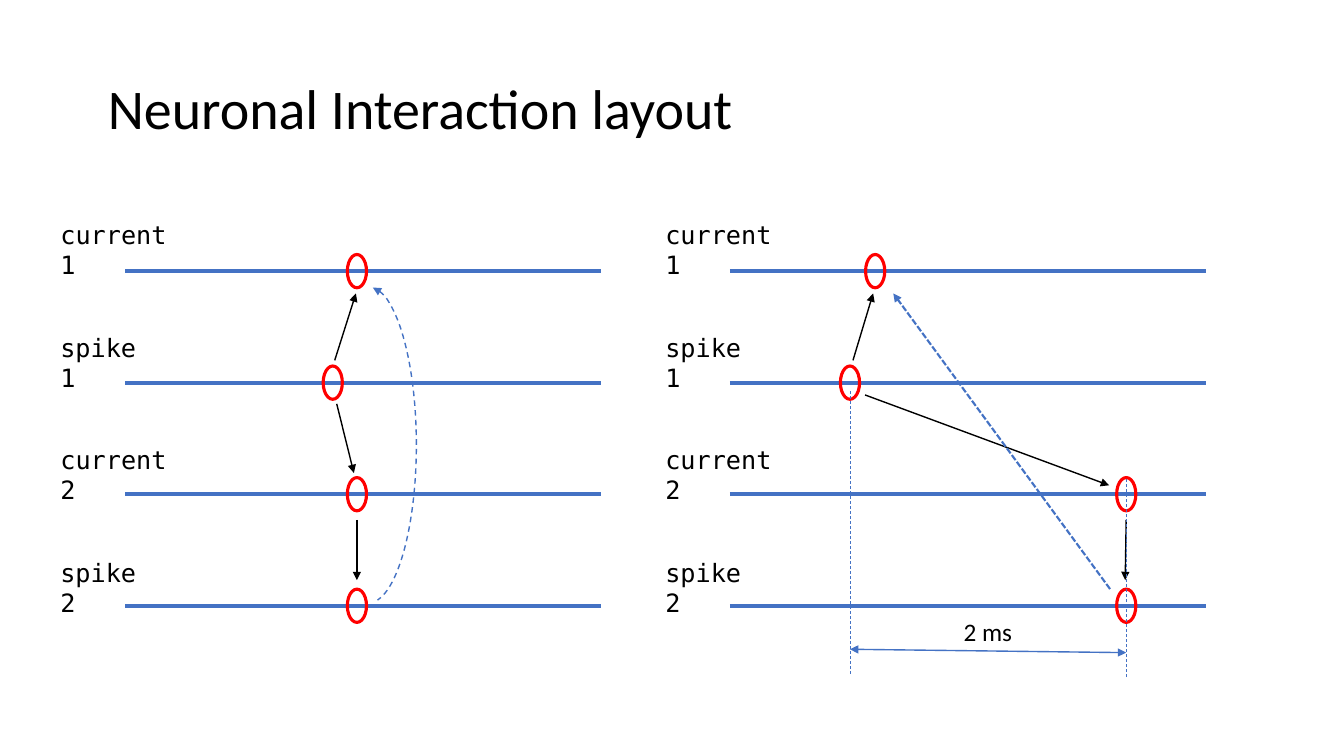
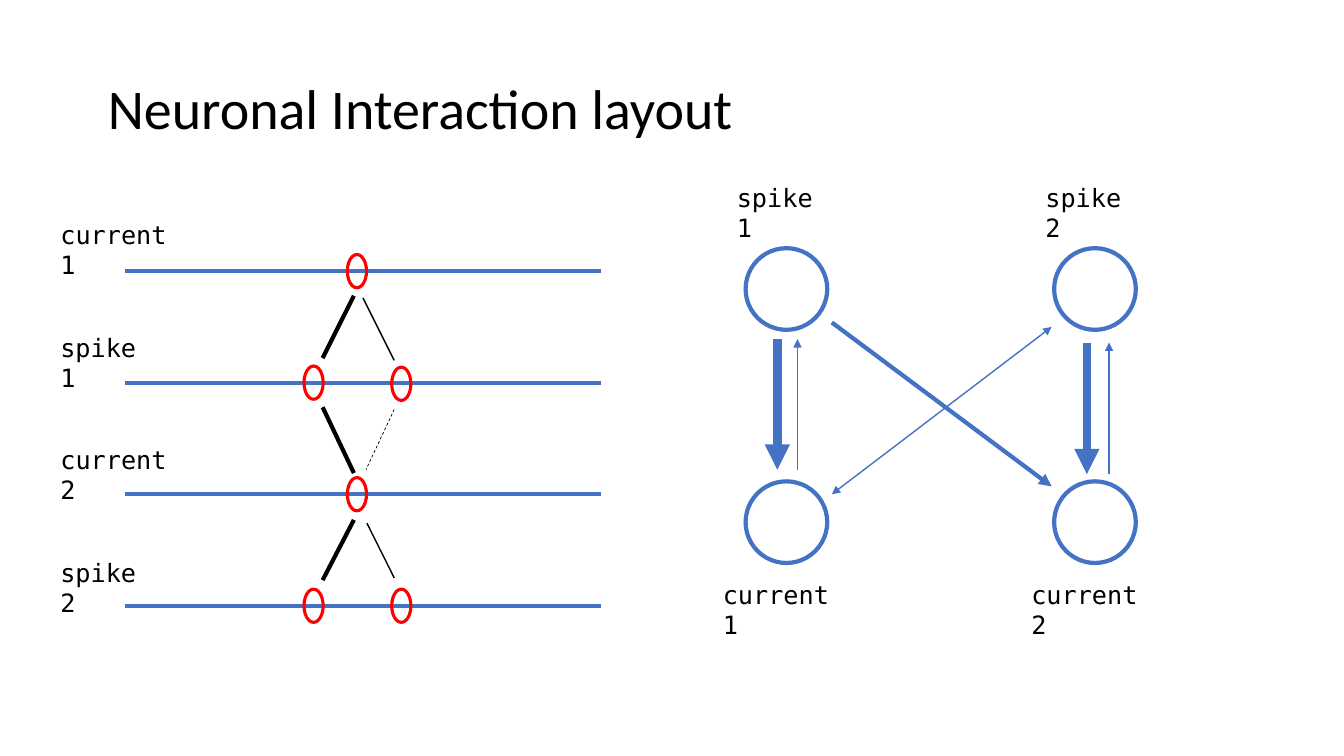
from lxml.etree import SubElement
from pptx import Presentation
from pptx.dml.color import RGBColor
from pptx.enum.dml import MSO_LINE
from pptx.enum.shapes import MSO_CONNECTOR, MSO_SHAPE
from pptx.enum.text import MSO_ANCHOR, PP_ALIGN
from pptx.oxml.ns import qn
from pptx.util import Inches, Pt

BLUE = RGBColor(0x44, 0x72, 0xC4)
RED = RGBColor(0xFF, 0x00, 0x00)
BLACK = RGBColor(0x00, 0x00, 0x00)
SANS, MONO = "Calibri", "DejaVu Sans Mono"

COLUMN = Inches(1)
FIRST_LANE = Inches(2.69)
ROW = (Inches(6.01) - FIRST_LANE) / 3
LANE_NAMES = ["current 1", "spike 1", "current 2", "spike 2"]
NAME_WIDTHS = {"current": 1.45, "spike": 1.17}

STYLES = {
    "lane": (BLUE, {"width": Pt(3)}, ""),
    "event": (RED, {"width": Pt(2.25)}, ""),
    "neuron": (BLUE, {"width": Pt(3)}, ""),
    "cause": (BLACK, {"width": Pt(1)}, "tail"),
    "strong": (BLACK, {"width": Pt(3)}, ""),
    "weak": (BLACK, {"width": Pt(1)}, ""),
    "faint": (BLACK, {"width": Pt(0.5), "dash_style": MSO_LINE.DASH}, ""),
    "feedback": (BLUE, {"width": Pt(1.5), "dash_style": MSO_LINE.SQUARE_DOT}, "tail"),
    "curved feedback": (BLUE, {"width": Pt(1), "dash_style": MSO_LINE.DASH}, "head"),
    "guide": (BLUE, {"width": Pt(0.5), "dash_style": MSO_LINE.DASH}, ""),
    "both ways": (BLUE, {"width": Pt(1)}, "head tail"),
    "thin arrow": (BLUE, {"width": Pt(1)}, "tail"),
    "medium arrow": (BLUE, {"width": Pt(3)}, "tail"),
    "thick arrow": (BLUE, {"width": Pt(6)}, "tail"),
}


def place(column, row):
    return round(column * COLUMN), round(FIRST_LANE + row * ROW)


def stroke(item, style):
    color, values, ends = STYLES[style]
    item.line.color.rgb = color
    for attribute, value in values.items():
        setattr(item.line, attribute, value)
    outline = item.element.spPr.find(qn("a:ln"))
    for end in ends.split():
        SubElement(outline, qn(f"a:{end}End"), type="triangle")


timing = {
    "panels": [0.5, 6.5],
    "events": [(3.54, 0), (3.3, 1), (3.54, 2), (3.54, 3),
               (8.68, 0), (8.43, 1), (11.17, 2), (11.17, 3)],
    "neurons": [],
    "names": [],
    "notes": [("2 ms", 9.46, 3.05, 0.74)],
    "arcs": [(3.17, 0.14, 0.96, 3.14)],
    "links": [
        ("cause", (3.32, 0.8), (3.53, 0.2)),
        ("cause", (3.34, 1.19), (3.51, 1.81)),
        ("cause", (3.54, 2.23), (3.54, 2.77)),
        ("cause", (8.46, 0.8), (8.66, 0.2)),
        ("cause", (8.58, 1.11), (11, 1.92)),
        ("cause", (11.17, 2.23), (11.16, 2.77)),
        ("feedback", (11.01, 2.85), (8.86, 0.2)),
        ("both ways", (8.43, 3.39), (11.17, 3.42)),
        ("guide", (8.43, 3.61), (8.43, 1.06)),
        ("guide", (11.17, 3.64), (11.17, 1.85)),
    ],
}
strength = {
    "panels": [0.5],
    "events": [(3.54, 0), (3.11, 1), (3.98, 1.01), (3.54, 2), (3.11, 3), (3.98, 3)],
    "neurons": [(column, row) for column in (7.8, 10.86) for row in (0.16, 2.25)],
    "names": [("spike 1", 7.21, -0.84), ("spike 2", 10.27, -0.84),
              ("current 1", 7.07, 2.72), ("current 2", 10.13, 2.72)],
    "notes": [],
    "arcs": [],
    "links": [
        ("strong", (3.2, 0.78), (3.51, 0.22)),
        ("strong", (3.2, 1.22), (3.51, 1.81)),
        ("strong", (3.51, 2.23), (3.2, 2.77)),
        ("weak", (3.64, 2.26), (3.91, 2.75)),
        ("faint", (3.91, 1.24), (3.63, 1.78)),
        ("weak", (3.6, 0.24), (3.91, 0.8)),
        ("thick arrow", (7.71, 0.61), (7.71, 1.78)),
        ("thick arrow", (10.78, 0.64), (10.78, 1.82)),
        ("thin arrow", (7.91, 1.78), (7.91, 0.61)),
        ("thin arrow", (11, 1.82), (11, 0.64)),
        ("medium arrow", (8.25, 0.46), (10.43, 1.93)),
        ("both ways", (8.25, 2), (10.43, 0.5)),
    ],
}

deck = Presentation()
deck.slide_width, deck.slide_height = Inches(13.33), Inches(7.5)

for content in (timing, strength):
    slide = deck.slides.add_slide(deck.slide_layouts[5])
    heading = slide.shapes.title
    frame = {"left": 0.97, "top": 0.69, "width": 7.02, "height": 0.82}
    for attribute, value in frame.items():
        setattr(heading, attribute, Inches(value))
    heading.text_frame.text = "Neuronal Interaction layout"
    heading.text_frame.vertical_anchor = MSO_ANCHOR.MIDDLE
    line = heading.text_frame.paragraphs[0]
    line.alignment, line.line_spacing = PP_ALIGN.LEFT, 0.9
    line.font.name, line.font.size, line.font.color.rgb = SANS, Pt(40), BLACK

    lanes = [("lane", (panel + 0.74, row), (panel + 5.46, row))
             for panel in content["panels"] for row in range(4)]
    events = [("event", center, 0.19, 0.33) for center in content["events"]]
    neurons = [("neuron", center, 0.81, 0.81) for center in content["neurons"]]
    lane_names = [(name, panel, row * 1.01 - 0.51)
                  for panel in content["panels"] for row, name in enumerate(LANE_NAMES)]
    names = [(name, column, row, NAME_WIDTHS[name.split()[0]], MONO)
             for name, column, row in lane_names + content["names"]]
    notes = [(*note, SANS) for note in content["notes"]]

    for group in (lanes, events + neurons, content["links"]):
        for style, first, *rest in group:
            if len(rest) == 1:
                link = slide.shapes.add_connector(
                    MSO_CONNECTOR.STRAIGHT, *place(*first), *place(*rest[0]))
                stroke(link, style)
                SubElement(link.element.spPr, qn("a:effectLst"))
            else:
                width, height = map(Inches, rest)
                x, y = place(*first)
                ring = slide.shapes.add_shape(
                    MSO_SHAPE.OVAL, x - width // 2, y - height // 2, width, height)
                ring.fill.background()
                ring.shadow.inherit = False
                stroke(ring, style)

    for text, column, row, width, font in names + notes:
        label = slide.shapes.add_textbox(*place(column, row), Inches(width), Inches(0.4))
        label.text_frame.word_wrap = True
        label.text_frame.text = text
        words = label.text_frame.paragraphs[0].font
        words.name, words.size, words.color.rgb = font, Pt(18), BLACK

    for column, row, width, height in content["arcs"]:
        curve = slide.shapes.add_shape(
            MSO_SHAPE.ARC, *place(column, row), Inches(width), Inches(height))
        curve.adjustments[0], curve.adjustments[1] = 163.06, 51.88
        curve.fill.background()
        curve.shadow.inherit = False
        stroke(curve, "curved feedback")

deck.save("out.pptx")
